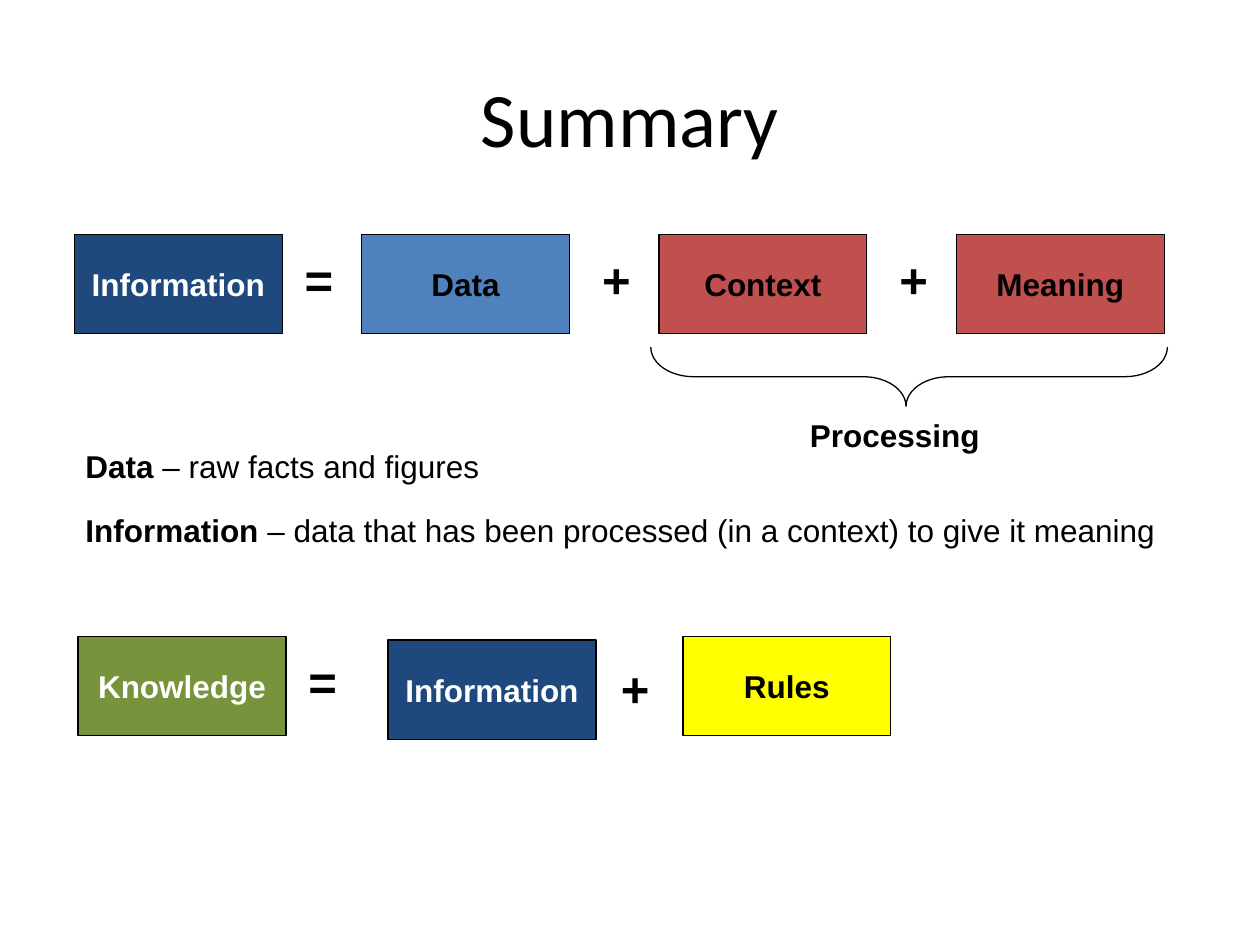
from pptx import Presentation
from pptx.dml.color import RGBColor
from pptx.enum.shapes import MSO_SHAPE
from pptx.enum.text import MSO_ANCHOR, MSO_AUTO_SIZE, PP_ALIGN
from pptx.util import Inches, Pt

WIDE, HIGH = Inches(10), Inches(7.5)
COLS, ROWS = 100, 75  # grid over the whole slide
BLACK, WHITE = "000000", "FFFFFF"
NAVY, BLUE, RED, GREEN, GOLD = "1F497D", "4F81BD", "C0504D", "77933C", "FFFF00"
CARD = (16.5, 7.9)  # columns, rows
SIGN = (4.3, 5.7)


def color(code):
    return RGBColor.from_string(code)


def place(box):
    """Turn left, top, width, height in grid units into slide lengths."""
    x, y, w, h = box
    return (int(x * WIDE / COLS), int(y * HIGH / ROWS),
            int(w * WIDE / COLS), int(h * HIGH / ROWS))


def add_run(para, text, size=18, code=BLACK, bold=True, face="Arial"):
    run = para.add_run()
    run.text = text
    font = run.font
    font.name, font.size, font.bold = face, Pt(size), bold
    font.color.rgb = color(code)


def add_title(slide, box, text):
    title = slide.shapes.title
    title.left, title.top, title.width, title.height = place(box)
    frame = title.text_frame
    frame.vertical_anchor = MSO_ANCHOR.MIDDLE
    para = frame.paragraphs[0]
    para.alignment = PP_ALIGN.CENTER
    add_run(para, text, 44, bold=False, face="Calibri")


def add_label(slide, box, runs, size=18, wrap=False):
    frame = slide.shapes.add_textbox(*place(box)).text_frame
    frame.word_wrap = wrap
    frame.auto_size = MSO_AUTO_SIZE.SHAPE_TO_FIT_TEXT
    for text, bold in runs:
        add_run(frame.paragraphs[0], text, size, bold=bold)


def outline(shape):
    shape.shadow.inherit = False
    shape.line.color.rgb = color(BLACK)
    shape.line.width = Pt(0.75)


def add_card(slide, box, text, fill, ink):
    card = slide.shapes.add_shape(MSO_SHAPE.RECTANGLE, *place(box))
    outline(card)
    card.fill.solid()
    card.fill.fore_color.rgb = color(fill)
    frame = card.text_frame
    frame.word_wrap = False
    frame.vertical_anchor = MSO_ANCHOR.MIDDLE
    para = frame.paragraphs[0]
    para.alignment = PP_ALIGN.CENTER
    add_run(para, text, code=ink)


def add_sum(slide, box, cards, signs):
    """Place cards and signs at offsets from the corner of the box."""
    left, top = box[:2]
    for text, dx, dy, fill, ink in cards:
        add_card(slide, (left + dx, top + dy, *CARD), text, fill, ink)
    for text, dx, dy in signs:
        add_label(slide, (left + dx, top + dy, *SIGN), [(text, True)], 28)


def add_brace(slide, box):
    """Turn a right brace so that it fills the box and points down."""
    x, y, w, h = box
    turned = (x + (w - h) / 2, y + (h - w) / 2, h, w)
    brace = slide.shapes.add_shape(MSO_SHAPE.RIGHT_BRACE, *place(turned))
    brace.rotation = 90
    brace.adjustments[0], brace.adjustments[1] = 0.72, 0.506
    brace.fill.background()
    outline(brace)


def add_terms(slide, box, terms):
    left, top, width, step = box
    for row, (term, text, share) in enumerate(terms):
        add_label(slide, (left, top + row * step, width * share, 4),
                  [(term, True), (text, False)], wrap=True)


def main():
    deck = Presentation()
    deck.slide_width, deck.slide_height = WIDE, HIGH
    slide = deck.slides.add_slide(deck.slide_layouts[5])
    add_title(slide, (5, 3, 90, 12.5), "Summary")

    # Information as a sum
    add_sum(slide, (5.9, 18.6, 86.5, 7.9),
            [("Information", 0, 0, NAVY, WHITE),
             ("Data", 22.8, 0, BLUE, BLACK),
             ("Context", 46.4, 0, RED, BLACK),
             ("Meaning", 70, 0, RED, BLACK)],
            [("=", 17.3, 0.7), ("+", 40.9, 0.7), ("+", 64.5, 0.7)])

    # Processing brace
    add_brace(slide, (51.65, 27.55, 41, 4.7))
    add_label(slide, (63.3, 32.5, 15.5, 4), [("Processing", True)])

    # Definitions
    add_terms(slide, (5.8, 35, 87.4, 5.1),
              [("Data", " – raw facts and figures", 0.42),
               ("Information", " – data that has been processed "
                "(in a context) to give it meaning", 1)])

    # Knowledge as a sum
    add_sum(slide, (6.2, 50.5, 64.5, 8.2),
            [("Knowledge", 0, 0, GREEN, WHITE),
             ("Information", 24.6, 0.3, NAVY, WHITE),
             ("Rules", 48, 0, GOLD, BLACK)],
            [("=", 17.3, 0.7), ("+", 42.1, 1.3)])

    deck.save("out.pptx")


if __name__ == "__main__":
    main()
